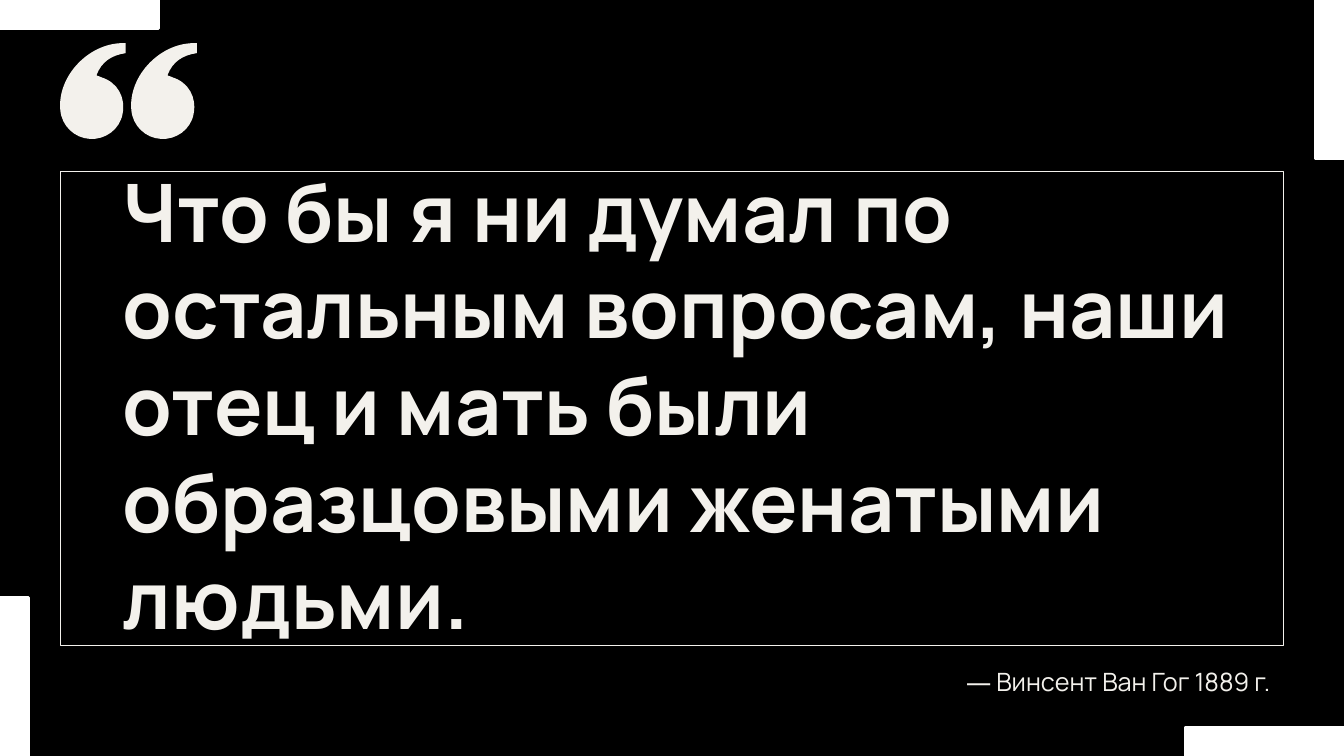
"""Build a black quotation slide with a framed title and white corner bars."""
import lxml.etree
import pptx
import pptx.dml.color
import pptx.enum.shapes
import pptx.enum.text
import pptx.oxml.ns
import pptx.util

Cm = pptx.util.Cm
Pt = pptx.util.Pt
qn = pptx.oxml.ns.qn

QUOTE = "Что бы я ни думал по остальным вопросам, наши отец и мать были образцовыми женатыми людьми."
AUTHOR = "― Винсент Ван Гог 1889 г."
FONT = "Manrope"
COLORS = {"back": "000000", "cream": "F3F1EC", "bar": "FFFFFF"}

WIDTH, HEIGHT = 33.87, 19.05
FRAME = (1.52, 4.32, 30.83, 11.95)
TITLE = (2.76, 5.11, 29.59, 10.11)
CREDIT = (1.52, 16.47, 30.83, 1.5)
BAR_SHORT, BAR_LONG = 0.73, 4
BARS = [
    (WIDTH - BAR_SHORT, 0, BAR_SHORT, BAR_LONG),
    (0, HEIGHT - BAR_LONG, BAR_SHORT, BAR_LONG),
    (0, 0, BAR_LONG, BAR_SHORT),
    (WIDTH - BAR_LONG, HEIGHT - BAR_SHORT, BAR_LONG, BAR_SHORT),
]

MARK_LEFT, MARK_TOP, MARK_PITCH = 1.52, 1.09, 1.79
MARK_START = [(1.65, 0), (1.65, 0.25)]
MARK_CURVES = [
    ((1.3, 0.3), (1.04, 0.46), (0.91, 0.81)),
    ((0.97, 0.84), (1.02, 0.84), (1.04, 0.86)),
    ((1.45, 0.99), (1.65, 1.37), (1.57, 1.78)),
    ((1.5, 2.18), (1.12, 2.44), (0.74, 2.41)),
    ((0.36, 2.39), (0.03, 2.08), (0, 1.68)),
    ((-0.08, 0.81), (0.76, -0.05), (1.65, 0)),
]


def rgb(name):
    """Return the named colour."""
    return pptx.dml.color.RGBColor.from_string(COLORS[name])


def add_rect(slide, box, line, width, fill=None):
    """Add a rectangle, hollow unless a fill is named."""
    kind = pptx.enum.shapes.MSO_SHAPE.RECTANGLE
    sp = slide.shapes.add_shape(kind, *map(Cm, box))
    sp.shadow.inherit = False
    if fill:
        sp.fill.solid()
        sp.fill.fore_color.rgb = rgb(fill)
    else:
        sp.fill.background()
    sp.line.color.rgb = rgb(line)
    sp.line.width = Pt(width)


def set_text(sp, text, size, bold, align, anchor):
    """Fill a text shape with one formatted paragraph."""
    tf = sp.text_frame
    tf.text = text
    tf.word_wrap = True
    tf.auto_size = pptx.enum.text.MSO_AUTO_SIZE.NONE
    tf.vertical_anchor = anchor
    tf.margin_left = tf.margin_right = tf.margin_top = tf.margin_bottom = Cm(0.33)
    p = tf.paragraphs[0]
    p.alignment = align
    p.line_spacing = 1.0
    r = p.runs[0]
    r.font.name = FONT
    r.font.size = Pt(size)
    r.font.bold = bold
    r.font.color.rgb = rgb("cream")


def add_mark(slide, left):
    """Add one quotation mark, turning its straight sides into curves."""
    corners = MARK_START + [curve[-1] for curve in MARK_CURVES]
    points = [(Cm(left + x), Cm(MARK_TOP + y)) for x, y in corners]
    builder = slide.shapes.build_freeform(*points[0])
    builder.add_line_segments(points[1:], close=True)
    sp = builder.convert_to_shape()
    sides = list(sp.element.iter(qn("a:lnTo")))[1:]
    for side, curve in zip(sides, MARK_CURVES):
        bezier = lxml.etree.Element(qn("a:cubicBezTo"))
        for x, y in curve:
            lxml.etree.SubElement(bezier, qn("a:pt"), x=str(Cm(x)), y=str(Cm(y)))
        side.getparent().replace(side, bezier)
    sp.shadow.inherit = False
    sp.fill.solid()
    sp.fill.fore_color.rgb = rgb("cream")
    sp.line.fill.background()


def main():
    """Assemble and save the slide."""
    prs = pptx.Presentation()
    prs.slide_width, prs.slide_height = Cm(WIDTH), Cm(HEIGHT)
    slide = prs.slides.add_slide(prs.slide_layouts.get_by_name("Title Only"))
    slide.background.fill.solid()
    slide.background.fill.fore_color.rgb = rgb("back")

    add_rect(slide, FRAME, "cream", 0.75)

    align, anchor = pptx.enum.text.PP_ALIGN, pptx.enum.text.MSO_ANCHOR
    title = slide.shapes.title
    title.left, title.top, title.width, title.height = map(Cm, TITLE)
    set_text(title, QUOTE, 57.6, True, align.LEFT, anchor.MIDDLE)

    credit = slide.shapes.add_textbox(*map(Cm, CREDIT))
    set_text(credit, AUTHOR, 18, False, align.RIGHT, anchor.TOP)

    for i in range(2):
        add_mark(slide, MARK_LEFT + i * MARK_PITCH)
    for box in BARS:
        add_rect(slide, box, "bar", 2, "bar")

    prs.save("out.pptx")


if __name__ == "__main__":
    main()
